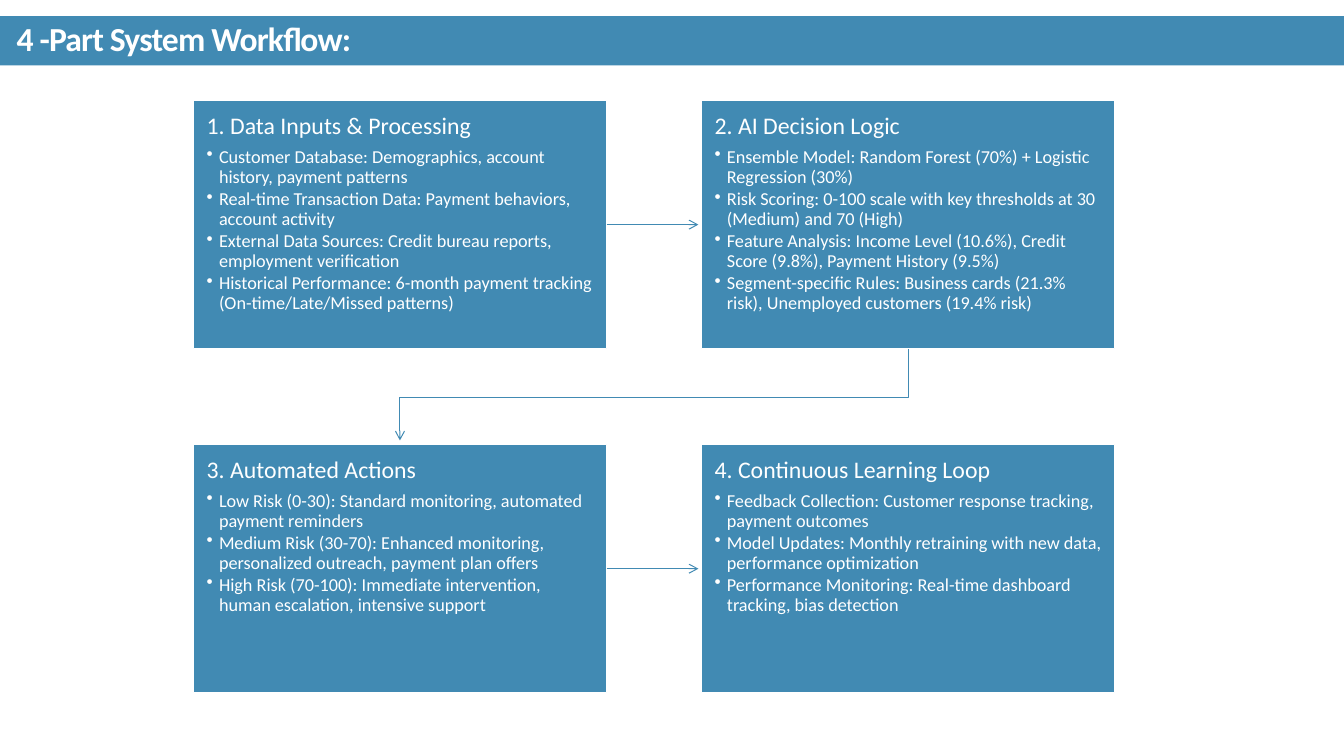
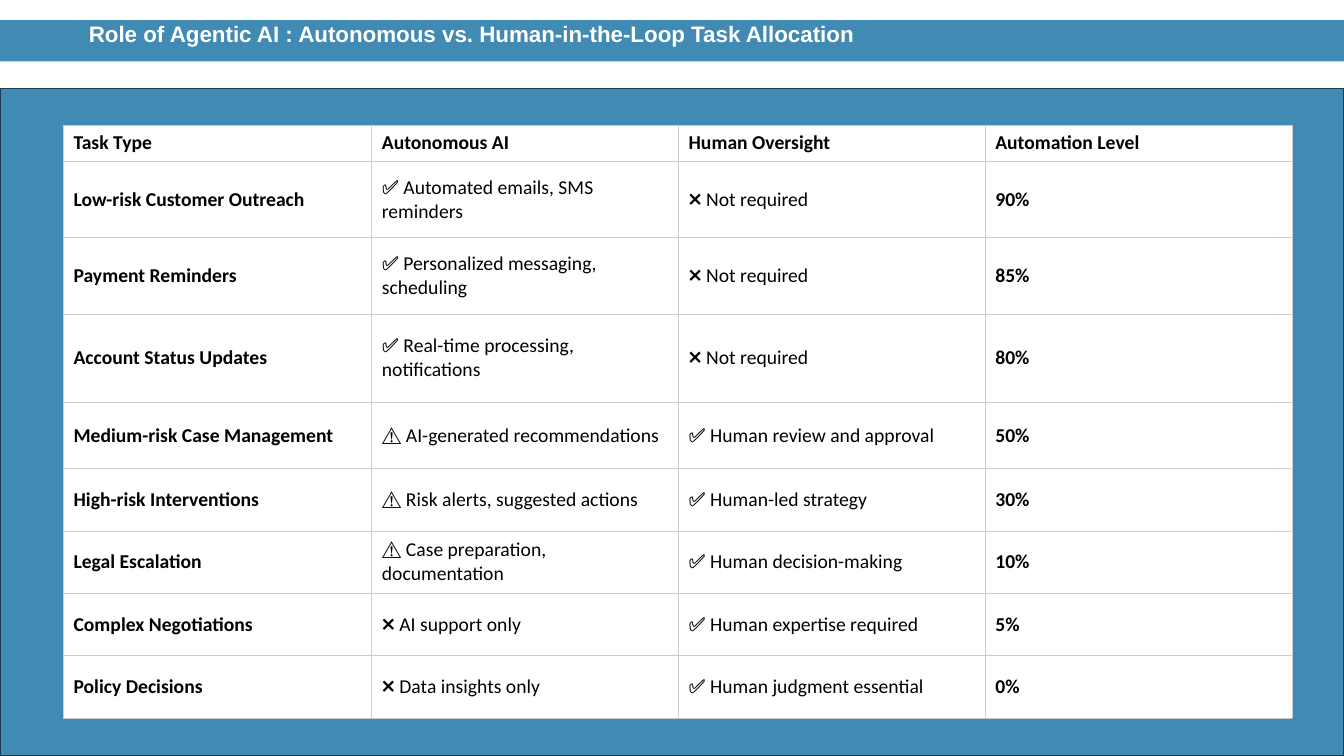
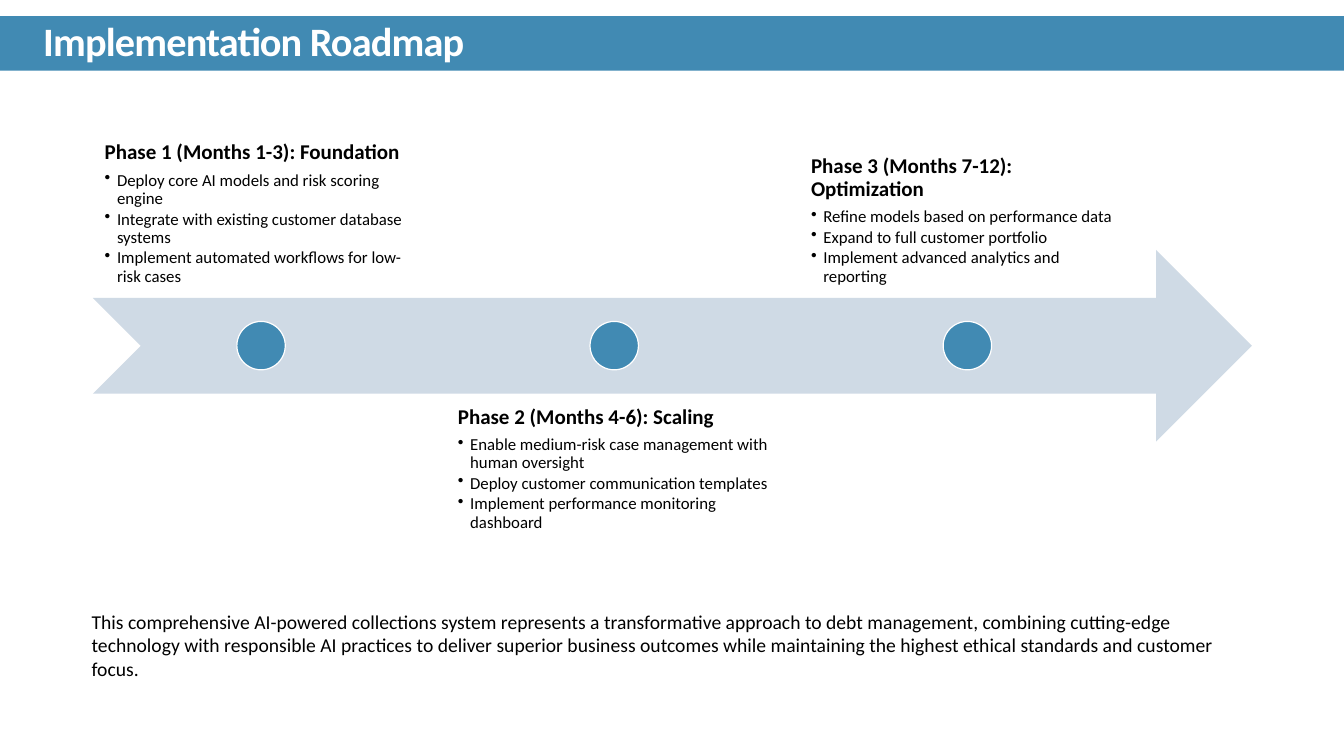
from lxml import etree
from pptx import Presentation
from pptx.dml.color import RGBColor
from pptx.enum.shapes import MSO_CONNECTOR, MSO_SHAPE
from pptx.enum.text import MSO_ANCHOR, PP_ALIGN
from pptx.oxml.ns import qn
from pptx.util import Cm, Pt

RECTANGLE = MSO_SHAPE.RECTANGLE
OVAL = MSO_SHAPE.OVAL
NOTCHED_ARROW = MSO_SHAPE.NOTCHED_RIGHT_ARROW
STRAIGHT = MSO_CONNECTOR.STRAIGHT
TOP, MIDDLE, BOTTOM = MSO_ANCHOR.TOP, MSO_ANCHOR.MIDDLE, MSO_ANCHOR.BOTTOM
LEFT = PP_ALIGN.LEFT

BLUE = RGBColor(0x41, 0x8A, 0xB3)
DARK_BLUE = RGBColor(0x1C, 0x3C, 0x4E)
PALE_BLUE = RGBColor(0xCF, 0xDA, 0xE5)
WHITE = RGBColor(0xFF, 0xFF, 0xFF)
BLACK = RGBColor(0x00, 0x00, 0x00)
GRID_GREY = "CCCCCC"
SLIDE_WIDTH, SLIDE_HEIGHT = Cm(33.87), Cm(19.05)


def add_span(para, text, size, color, bold=False, font="Calibri"):
    span = para.add_run()
    span.text = text
    span.font.name = font
    span.font.size = Pt(size)
    span.font.bold = bold
    span.font.color.rgb = color
    return span


def add_list(box, anchor, inset, heading, items, sizes, color, bold_heading):
    frame = box.text_frame
    frame.word_wrap = True
    frame.vertical_anchor = anchor
    frame.margin_left = frame.margin_right = inset
    frame.margin_top = frame.margin_bottom = inset
    for index, text in enumerate([heading] + items):
        para = frame.add_paragraph() if index else frame.paragraphs[0]
        para.alignment = LEFT
        para.line_spacing = 0.9
        properties = para._p.get_or_add_pPr()
        space_after = etree.SubElement(properties, qn("a:spcAft"))
        percent = etree.SubElement(space_after, qn("a:spcPct"))
        percent.set("val", "15000" if index else "35000")
        if index:
            properties.set("marL", str(Cm(0.31)))
            properties.set("indent", str(-Cm(0.31)))
            etree.SubElement(properties, qn("a:buChar")).set("char", "•")
        add_span(para, text, sizes[1 if index else 0], color, bold_heading and not index)


deck = Presentation()
deck.slide_width, deck.slide_height = SLIDE_WIDTH, SLIDE_HEIGHT

bands = [
    ("4 -Part System Workflow:", 0.41, 1.24, 0.42, 0.13, 24, "Calibri", -60),
    ("Role of Agentic AI : Autonomous vs. Human-in-the-Loop Task Allocation",
     0.51, 1.04, 2.24, 0.36, 16, "Arial", 0),
    ("Implementation Roadmap", 0.41, 1.37, 1.09, 0.13, 28.8, "Calibri", -60),
]
pages = []
for title, top, height, indent, bottom_inset, size, font, tracking in bands:
    page = deck.slides.add_slide(deck.slide_layouts[6])
    pages.append(page)
    band = page.shapes.add_shape(RECTANGLE, 0, Cm(top), SLIDE_WIDTH, Cm(height))
    band.shadow.inherit = False
    band.fill.solid()
    band.fill.fore_color.rgb = BLUE
    band.line.fill.background()
    frame = band.text_frame
    frame.word_wrap = True
    frame.vertical_anchor = MIDDLE
    frame.margin_left, frame.margin_right = Cm(indent), 0
    frame.margin_top = Cm(0.13 if tracking else 0)
    frame.margin_bottom = Cm(bottom_inset)
    para = frame.paragraphs[0]
    para.alignment = LEFT
    para.line_spacing = 0.9 if tracking else 1.0
    span = add_span(para, title, size, WHITE, True, font)
    span._r.get_or_add_rPr().set("spc", str(tracking))

workflow, allocation, roadmap = pages

parts = [
    ("1. Data Inputs & Processing", [
        "Customer Database: Demographics, account history, payment patterns",
        "Real-time Transaction Data: Payment behaviors, account activity",
        "External Data Sources: Credit bureau reports, employment verification",
        "Historical Performance: 6-month payment tracking (On-time/Late/Missed patterns)",
    ]),
    ("2. AI Decision Logic", [
        "Ensemble Model: Random Forest (70%) + Logistic Regression (30%)",
        "Risk Scoring: 0-100 scale with key thresholds at 30 (Medium) and 70 (High)",
        "Feature Analysis: Income Level (10.6%), Credit Score (9.8%), Payment History (9.5%)",
        "Segment-specific Rules: Business cards (21.3% risk), Unemployed customers (19.4% risk)",
    ]),
    ("3. Automated Actions", [
        "Low Risk (0-30): Standard monitoring, automated payment reminders",
        "Medium Risk (30-70): Enhanced monitoring, personalized outreach, payment plan offers",
        "High Risk (70-100): Immediate intervention, human escalation, intensive support",
    ]),
    ("4. Continuous Learning Loop", [
        "Feedback Collection: Customer response tracking, payment outcomes",
        "Model Updates: Monthly retraining with new data, performance optimization",
        "Performance Monitoring: Real-time dashboard tracking, bias detection",
    ]),
]
for index, (heading, items) in enumerate(parts):
    row, column = divmod(index, 2)
    box = workflow.shapes.add_shape(
        RECTANGLE, Cm(4.88 + column * 12.8), Cm(2.54 + row * 8.66), Cm(10.41), Cm(6.25))
    box.shadow.inherit = False
    box.fill.solid()
    box.fill.fore_color.rgb = BLUE
    box.line.color.rgb = WHITE
    box.line.width = Pt(0.85)
    add_list(box, TOP, Cm(0.33), heading, items, (17, 13), WHITE, False)

arrows = [
    workflow.shapes.add_connector(STRAIGHT, Cm(15.29), Cm(y), Cm(17.6), Cm(y))
    for y in (5.66, 14.33)
]
builder = workflow.shapes.build_freeform(Cm(22.89), Cm(8.79))
builder.add_line_segments(
    [(Cm(22.89), Cm(10.01)), (Cm(10.08), Cm(10.01)), (Cm(10.08), Cm(11.1))], close=False)
elbow = builder.convert_to_shape()
elbow.fill.background()
arrows.append(elbow)
for arrow in arrows:
    arrow.line.color.rgb = BLUE
    arrow.line.width = Pt(0.75)
    properties = arrow.element.spPr
    etree.SubElement(properties.find(qn("a:ln")), qn("a:tailEnd")).set("type", "arrow")
    etree.SubElement(properties, qn("a:effectLst"))

panel = allocation.shapes.add_shape(RECTANGLE, 0, Cm(2.24), SLIDE_WIDTH, Cm(16.81))
panel.shadow.inherit = False
panel.fill.solid()
panel.fill.fore_color.rgb = BLUE
panel.line.color.rgb = DARK_BLUE
panel.line.width = Pt(0.85)

tasks = [
    ("Task Type", "Autonomous AI", "Human Oversight", "Automation Level"),
    ("Low-risk Customer Outreach", "✅ Automated emails, SMS reminders", "❌ Not required", "90%"),
    ("Payment Reminders", "✅ Personalized messaging, scheduling", "❌ Not required", "85%"),
    ("Account Status Updates", "✅ Real-time processing, notifications", "❌ Not required", "80%"),
    ("Medium-risk Case Management", "⚠️ AI-generated recommendations",
     "✅ Human review and approval", "50%"),
    ("High-risk Interventions", "⚠️ Risk alerts, suggested actions", "✅ Human-led strategy", "30%"),
    ("Legal Escalation", "⚠️ Case preparation, documentation", "✅ Human decision-making", "10%"),
    ("Complex Negotiations", "❌ AI support only", "✅ Human expertise required", "5%"),
    ("Policy Decisions", "❌ Data insights only", "✅ Human judgment essential", "0%"),
]
column_widths = [7.77] + [7.73] * 3
row_heights = [0.91, 1.93, 1.93, 2.21, 1.68] + [1.57] * 4
table = allocation.shapes.add_table(
    len(tasks), len(column_widths), Cm(1.6), Cm(3.15),
    Cm(sum(column_widths)), Cm(sum(row_heights))).table
for column, width in zip(table.columns, column_widths):
    column.width = Cm(width)
for row, height in zip(table.rows, row_heights):
    row.height = Cm(height)
for row_index, task in enumerate(tasks):
    for column_index, text in enumerate(task):
        cell = table.cell(row_index, column_index)
        cell.vertical_anchor = MIDDLE
        properties = cell._tc.get_or_add_tcPr()
        for side in ("a:lnL", "a:lnR", "a:lnT", "a:lnB"):
            border = etree.SubElement(properties, qn(side))
            border.set("w", str(Pt(0.6)))
            border_fill = etree.SubElement(border, qn("a:solidFill"))
            etree.SubElement(border_fill, qn("a:srgbClr")).set("val", GRID_GREY)
        cell.fill.solid()
        cell.fill.fore_color.rgb = WHITE
        bold = row_index == 0 or column_index in (0, 3)
        add_span(cell.text_frame.paragraphs[0], text, 14, BLACK, bold)

timeline = roadmap.shapes.add_shape(NOTCHED_ARROW, Cm(2.34), Cm(6.3), Cm(29.21), Cm(4.83))
timeline.shadow.inherit = False
timeline.fill.solid()
timeline.fill.fore_color.rgb = PALE_BLUE
timeline.line.fill.background()

phases = [
    ("Phase 1 (Months 1-3): Foundation", 2.67, BOTTOM, [
        "Deploy core AI models and risk scoring engine",
        "Integrate with existing customer database systems",
        "Implement automated workflows for low-risk cases",
    ]),
    ("Phase 2 (Months 4-6): Scaling", 9.93, TOP, [
        "Enable medium-risk case management with human oversight",
        "Deploy customer communication templates",
        "Implement performance monitoring dashboard",
    ]),
    ("Phase 3 (Months 7-12): Optimization", 2.67, BOTTOM, [
        "Refine models based on performance data",
        "Expand to full customer portfolio",
        "Implement advanced analytics and reporting",
    ]),
]
phase_width, marker_size = 8.48, 1.22
for index, (heading, top, anchor, items) in enumerate(phases):
    left = 2.34 + index * 8.9
    box = roadmap.shapes.add_textbox(Cm(left), Cm(top), Cm(phase_width), Cm(4.83))
    add_list(box, anchor, Cm(0.3), heading, items, (15, 12), BLACK, True)
    marker = roadmap.shapes.add_shape(
        OVAL, Cm(left + (phase_width - marker_size) / 2), Cm(8.1),
        Cm(marker_size), Cm(marker_size))
    marker.shadow.inherit = False
    marker.fill.solid()
    marker.fill.fore_color.rgb = BLUE
    marker.line.color.rgb = WHITE
    marker.line.width = Pt(0.85)

summary = roadmap.shapes.add_textbox(Cm(2.06), Cm(15.24), Cm(29.49), Cm(2.82))
summary.text_frame.word_wrap = True
add_span(
    summary.text_frame.paragraphs[0],
    "This comprehensive AI-powered collections system represents a transformative approach "
    "to debt management, combining cutting-edge technology with responsible AI practices "
    "to deliver superior business outcomes while maintaining the highest ethical standards "
    "and customer focus.",
    14, BLACK)

deck.save("out.pptx")
